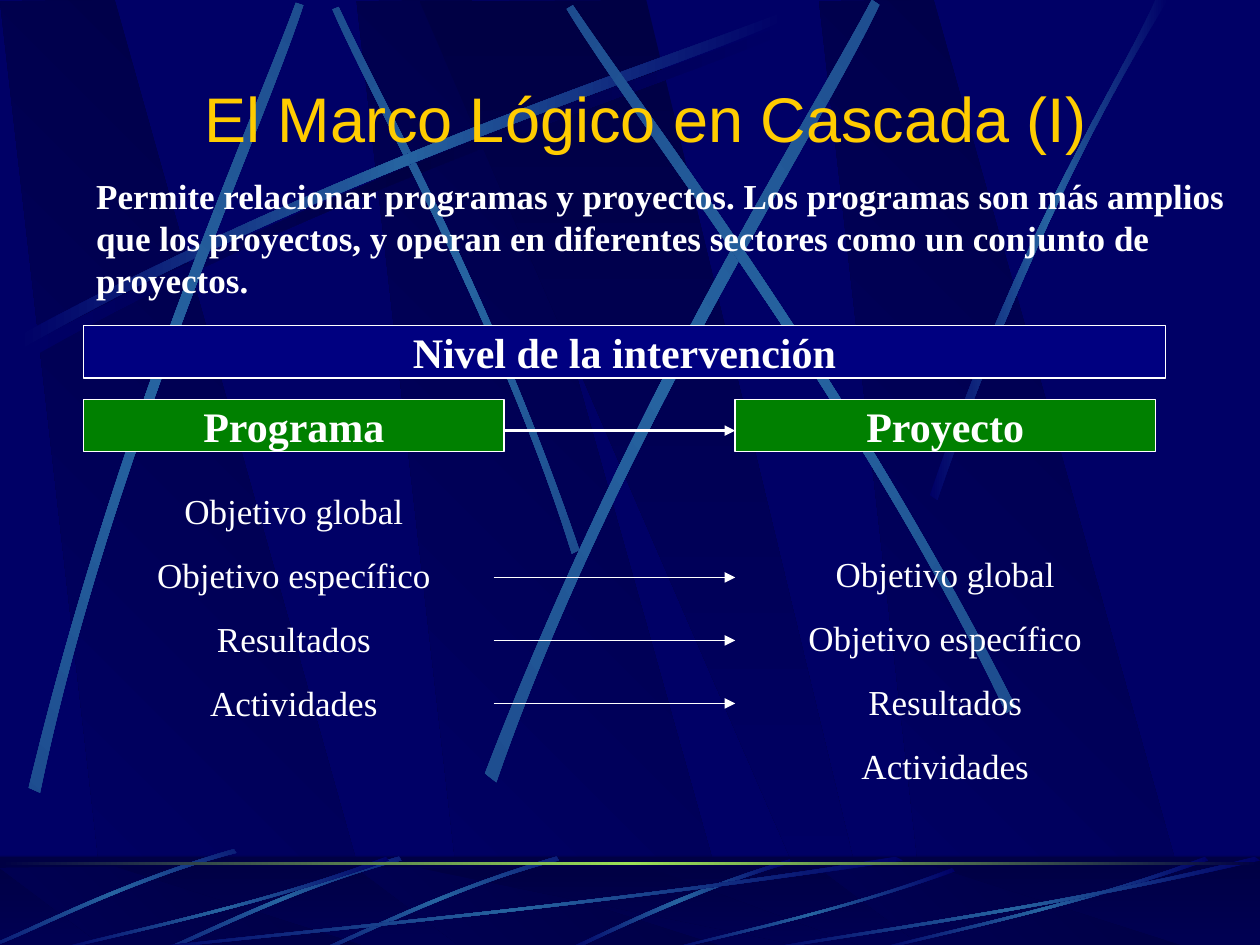
import math

import lxml.etree
import pptx
import pptx.dml.color
import pptx.enum.shapes
import pptx.enum.text
import pptx.oxml.ns
import pptx.util

Cm = pptx.util.Cm
Pt = pptx.util.Pt
RGBColor = pptx.dml.color.RGBColor
MSO_SHAPE = pptx.enum.shapes.MSO_SHAPE
PP_ALIGN = pptx.enum.text.PP_ALIGN
qn = pptx.oxml.ns.qn

NAVY = RGBColor(0x00, 0x00, 0x66)
NIGHT = RGBColor(0x00, 0x00, 0x44)
STEEL = RGBColor(0x26, 0x63, 0xA0)
DUSK = RGBColor(0x1A, 0x44, 0x88)
LIME = RGBColor(0x9C, 0xE1, 0x57)
BLUE = RGBColor(0x00, 0x00, 0x80)
GREEN = RGBColor(0x00, 0x80, 0x00)
GOLD = RGBColor(0xFF, 0xCC, 0x00)
WHITE = RGBColor(0xFF, 0xFF, 0xFF)

SERIF = "Times New Roman"
GRID = Cm(0.0254)
FADING = (NAVY, STEEL, NAVY)
BRIGHT = (DUSK, STEEL, DUSK)
SHADE = (NIGHT, NAVY)

LONG_STREAK = [(14, 267), (278, 125), (518, 51), (620, 10),
               (623, 16), (522, 61), (248, 143), (17, 277)]
STEEP_STREAK = [(460, 436), (391, 234), (302, 77), (269, 5),
                (264, 7), (295, 79), (398, 258), (454, 439)]
CROSSING_STREAKS = [
    (311.7, (133, 315.5), [(23, 625), (93, 334), (197, 105), (235, 2),
                           (241, 4), (207, 108), (86, 368), (32, 629)]),
    (321.6, (543, 310.5), [(385, 614), (498, 320), (638, 102), (692, 0),
                           (698, 4), (649, 108), (486, 355), (394, 621)]),
    (34.8, (627, 285.5), [(806, 560), (670, 293), (516, 95), (455, 4),
                          (450, 7), (507, 101), (685, 325), (799, 566)]),
]
CORNER_STREAK = [(738, 393), (814, 173), (888, 66), (917, 0),
                 (927, 0), (836, 145), (769, 322), (744, 397)]
FLOOR_STREAK = [(627, 682), (537, 709), (477, 742), (448, 754),
                (453, 755), (490, 737), (571, 700), (628, 685)]
SHORT_STREAK = [(186, 680), (99, 705), (31, 740), (0, 753),
                (1, 755), (32, 743), (109, 703), (188, 683)]
SWEEP = [(1, 0.04), (0.57, 0.57), (0.17, 0.85), (0.01, 1),
         (0, 0.99), (0.17, 0.81), (0.62, 0.51), (0.99, 0)]


def shift(points, right, down=0):
    return [(x + right, y + down) for x, y in points]


def turn(points, center, degrees):
    cos, sin = math.cos(math.radians(degrees)), math.sin(math.radians(degrees))
    return [(center[0] + x * cos - y * sin, center[1] + x * sin + y * cos)
            for x, y in shift(points, -center[0], -center[1])]


def paint_gradient(shape, colors, clockwise_angle):
    shape.shadow.inherit = False
    shape.line.fill.background()
    shape.fill.gradient()
    shape.fill.gradient_angle = (360 - clockwise_angle) % 360
    stops = shape._element.spPr.find(".//" + qn("a:gsLst"))
    for stop in list(stops):
        stops.remove(stop)
    for index, color in enumerate(colors):
        position = str(100000 * index // (len(colors) - 1))
        stop = lxml.etree.SubElement(stops, qn("a:gs"), pos=position)
        lxml.etree.SubElement(stop, qn("a:srgbClr"), val=str(color))


def add_outline(slide, points, colors, angle):
    corners = [(x * GRID, y * GRID) for x, y in points]
    builder = slide.shapes.build_freeform(*corners[0])
    builder.add_line_segments(corners[1:], close=True)
    outline = builder.convert_to_shape()
    paint_gradient(outline, colors, angle)
    return outline


def add_streak(slide, points, colors=FADING, rotation=0, center=(0, 0)):
    streak = add_outline(slide, turn(points, center, -rotation), colors, 0)
    segments = streak._element.spPr.findall(".//" + qn("a:lnTo"))
    for first in (0, 4):
        bend = lxml.etree.Element(qn("a:cubicBezTo"))
        segments[first].addprevious(bend)
        for segment in segments[first:first + 3]:
            bend.append(segment[0])
            segment.getparent().remove(segment)
    streak.rotation = rotation


def add_facets(slide, top, bottom):
    for left in (283, 0, 650):
        facet = [(86, bottom - 1), (302, bottom), (91, top), (0, top + 1)]
        add_outline(slide, shift(facet, left), SHADE, 135)
    add_outline(slide, [(333, top + 1), (658, bottom), (694, bottom), (513, top)], SHADE, 90)


def add_band(slide, top, height):
    return slide.shapes.add_shape(MSO_SHAPE.RECTANGLE, 0, Cm(top), Cm(25.4), Cm(height))


def add_backdrop(slide):
    slide.background.fill.solid()
    slide.background.fill.fore_color.rgb = NAVY
    add_facets(slide, 0, 752)
    add_streak(slide, shift(LONG_STREAK, 6, 8), (NAVY, NIGHT, NAVY))
    add_streak(slide, STEEP_STREAK, BRIGHT, 45, (362, 222.5))
    add_streak(slide, LONG_STREAK)
    for rotation, center, points in CROSSING_STREAKS:
        add_streak(slide, points, BRIGHT, rotation, center)
    add_streak(slide, CORNER_STREAK)


def add_floor(slide):
    paint_gradient(add_band(slide, 17.27, 1.9), SHADE, 90)
    add_facets(slide, 688, 755)
    veil = add_band(slide, 17.25, 1.9)
    veil.shadow.inherit = False
    veil.line.fill.background()
    veil.fill.solid()
    veil.fill.fore_color.rgb = NIGHT
    tint = veil._element.spPr.find(".//" + qn("a:srgbClr"))
    lxml.etree.SubElement(tint, qn("a:alpha"), val="50000")
    add_streak(slide, FLOOR_STREAK)
    for right, down in ((256, 0), (131, 0), (0, -6)):
        add_streak(slide, shift(SHORT_STREAK, right, down), FADING, 314.9,
                   (94 + right, 717.5 + down))
    for left, top, width in ((100, 680, 617), (42, 680, 267), (527, 689, 231),
                             (692, 680, 267), (600, 680, 400)):
        add_streak(slide, [(left + x * width, top + y * (755 - top)) for x, y in SWEEP])
    paint_gradient(add_band(slide, 17.37, 0.06), (NIGHT, LIME, NIGHT), 0)


def write_paragraphs(frame, lines, size, font=SERIF, color=WHITE, bold=False,
                     align=PP_ALIGN.CENTER, before=0):
    for index, line in enumerate(lines):
        paragraph = frame.add_paragraph() if index else frame.paragraphs[0]
        paragraph.alignment = align
        paragraph.space_before = Pt(before)
        run = paragraph.add_run()
        run.text = line
        run.font.name = font
        run.font.size = Pt(size)
        run.font.bold = bold
        run.font.color.rgb = color


def add_text(slide, left, top, width, height, lines, size, **style):
    frame = slide.shapes.add_textbox(Cm(left), Cm(top), Cm(width), Cm(height)).text_frame
    frame.word_wrap = True
    frame.auto_size = pptx.enum.text.MSO_AUTO_SIZE.SHAPE_TO_FIT_TEXT
    write_paragraphs(frame, lines, size, **style)


def add_heading(slide, left, top, width, label, color):
    heading = slide.shapes.add_shape(MSO_SHAPE.RECTANGLE, Cm(left), Cm(top), Cm(width), Cm(1.06))
    heading.shadow.inherit = False
    heading.fill.solid()
    heading.fill.fore_color.rgb = color
    heading.line.color.rgb = WHITE
    heading.line.width = Pt(0.75)
    heading.text_frame.word_wrap = False
    heading.text_frame.vertical_anchor = pptx.enum.text.MSO_ANCHOR.MIDDLE
    write_paragraphs(heading.text_frame, [label], 24, bold=True)


def add_arrow(slide, start, end, y, weight):
    arrow = slide.shapes.add_connector(pptx.enum.shapes.MSO_CONNECTOR.STRAIGHT,
                                       Cm(start), Cm(y), Cm(end), Cm(y))
    arrow.line.color.rgb = WHITE
    arrow.line.width = Pt(weight)
    lxml.etree.SubElement(arrow.line._get_or_add_ln(), qn("a:tailEnd"), type="triangle")
    lxml.etree.SubElement(arrow._element.spPr, qn("a:effectLst"))


def main():
    presentation = pptx.Presentation()
    presentation.slide_width = Cm(25.4)
    presentation.slide_height = Cm(19.05)
    slide = presentation.slides.add_slide(presentation.slide_layouts[6])
    add_backdrop(slide)
    add_floor(slide)

    add_text(slide, 0.63, 1.48, 24.76, 1.78, ["El Marco Lógico en Cascada (I)"], 36,
             font="Arial", color=GOLD)
    add_text(slide, 1.69, 3.39, 23.7, 2.79,
             ["Permite relacionar programas y proyectos. Los programas son más amplios "
              "que los proyectos, y operan en diferentes sectores como un conjunto de "
              "proyectos."], 20, bold=True, align=PP_ALIGN.LEFT, before=12.5)

    program_left, project_left, column_width = 1.69, 14.82, 8.47
    add_heading(slide, program_left, 6.56, 21.8, "Nivel de la intervención", BLUE)
    for left, label in ((program_left, "Programa"), (project_left, "Proyecto")):
        add_heading(slide, left, 8.05, column_width, label, GREEN)
    add_arrow(slide, program_left + column_width, project_left, 8.68, 1.75)

    levels = ["Objetivo global", "Objetivo específico", "Resultados", "Actividades"]
    for left, top in ((program_left, 9.74), (project_left, 11.01)):
        add_text(slide, left, top, column_width, 4.97, levels, 20, before=12.5)
    for row in range(len(levels) - 1):
        add_arrow(slide, 9.95, project_left, 11.64 + 1.27 * row, 0.75)

    presentation.save("out.pptx")


if __name__ == "__main__":
    main()
